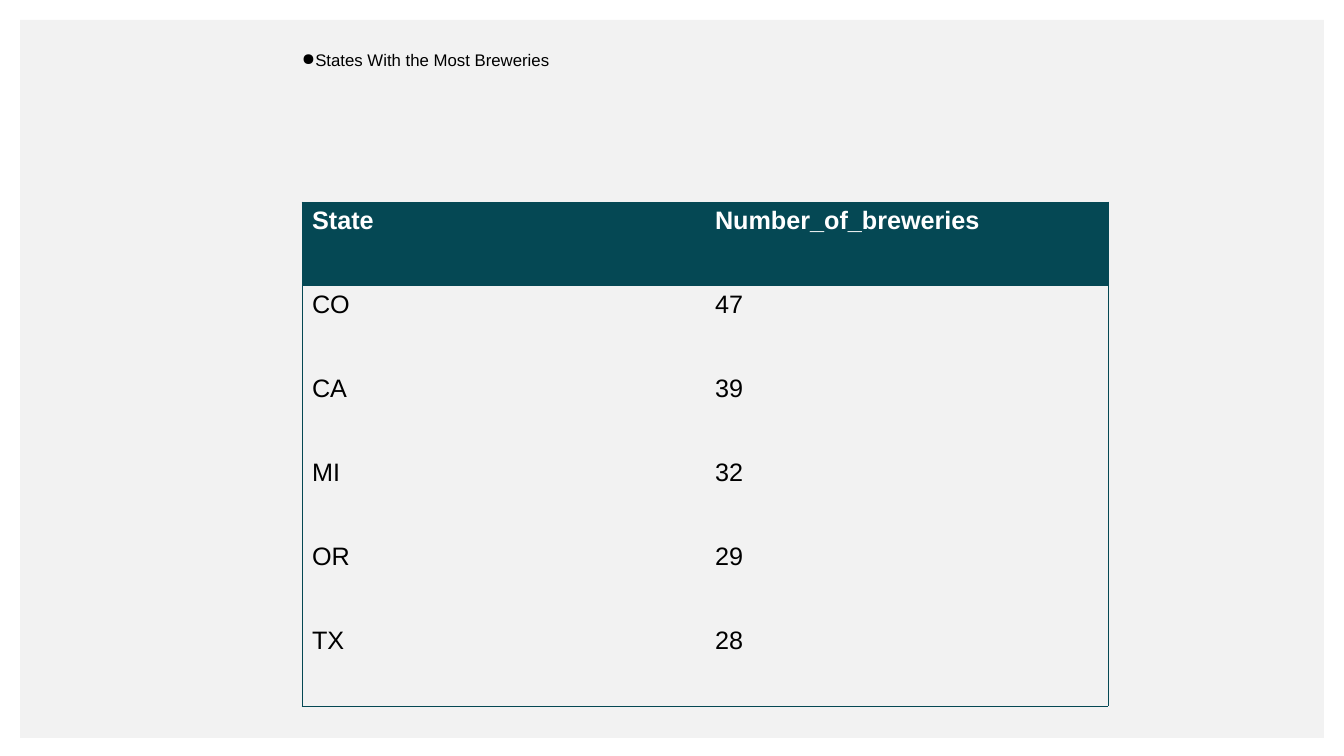
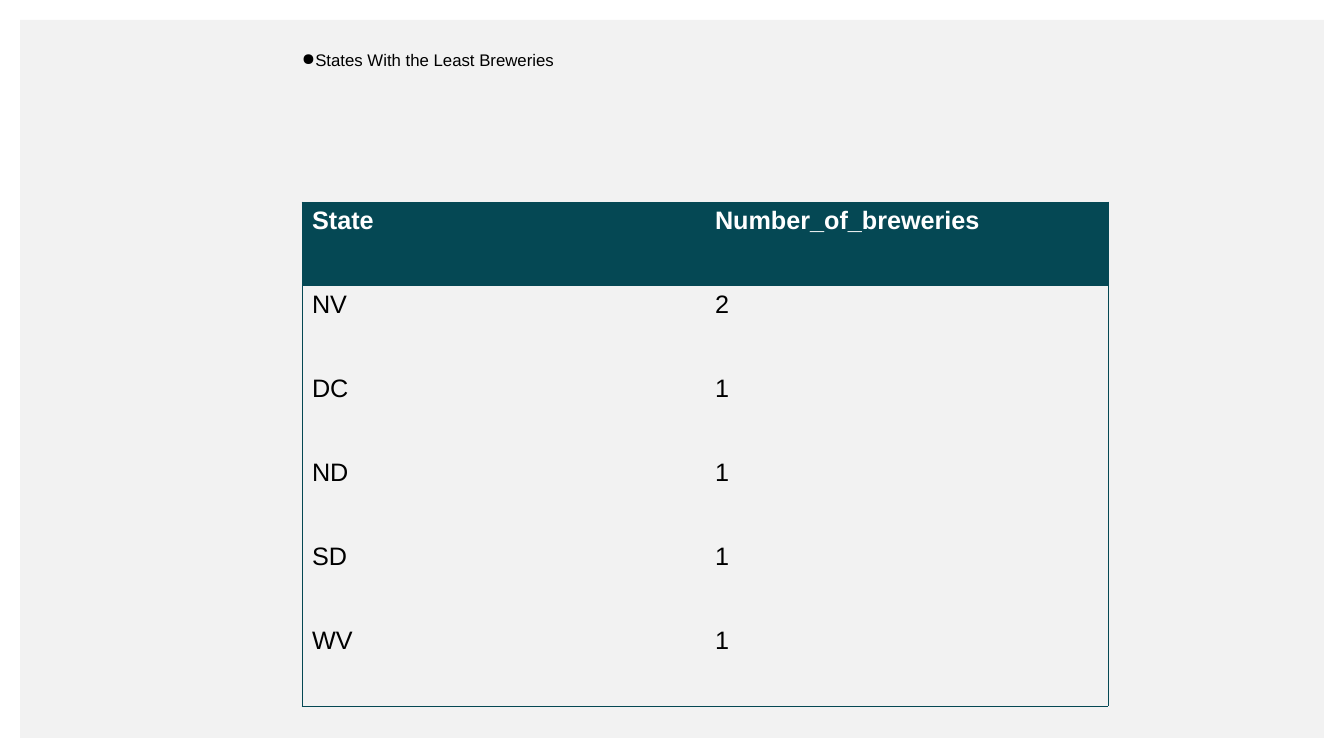
from lxml import etree
from pptx import Presentation
from pptx import util as u
from pptx.dml.color import RGBColor
from pptx.enum import shapes
from pptx.oxml import ns

PANEL_GREY = RGBColor(0xF2, 0xF2, 0xF2)
TEAL = RGBColor(0x05, 0x48, 0x54)
WHITE = RGBColor(0xFF, 0xFF, 0xFF)
BLACK = RGBColor(0, 0, 0)
FONT = "Arial"
PLAIN_TABLE = "{2D5ABB26-0587-4C30-8999-92F81FD0307C}"
HEADINGS = ("State", "Number_of_breweries")
RANKINGS = [
    ("States With the Most Breweries",
     [("CO", 47), ("CA", 39), ("MI", 32), ("OR", 29), ("TX", 28)]),
    ("States With the Least Breweries",
     [("NV", 2), ("DC", 1), ("ND", 1), ("SD", 1), ("WV", 1)]),
]


def px(*lengths):
    return [u.Emu(round(length * 914400 / 100.8)) for length in lengths]


def write(paragraph, words, size, color, bold=False):
    run = paragraph.add_run()
    run.text = words
    run.font.name = FONT
    run.font.size = u.Pt(size)
    run.font.bold = bold
    run.font.color.rgb = color


deck = Presentation()
deck.slide_width, deck.slide_height = px(1344, 756)

for title, states in RANKINGS:
    slide = deck.slides.add_slide(deck.slide_layouts[6])

    panel = slide.shapes.add_shape(shapes.MSO_SHAPE.RECTANGLE, *px(20, 20, 1304, 718))
    panel.shadow.inherit = False
    panel.fill.solid()
    panel.fill.fore_color.rgb = PANEL_GREY
    panel.line.fill.background()

    heading = slide.shapes.add_textbox(*px(302, 50, 806, 101)).text_frame
    heading.word_wrap = True
    heading.margin_left = heading.margin_right = 0
    heading.margin_top = heading.margin_bottom = 0
    bullet_line = heading.paragraphs[0]
    bullet_line.space_after = u.Pt(10)
    write(bullet_line, title, 12, BLACK)
    bullet = etree.SubElement(bullet_line._p.get_or_add_pPr(), ns.qn("a:buChar"))
    bullet.set("char", "●")

    rows = [HEADINGS, *states]
    ranking = slide.shapes.add_table(len(rows), len(HEADINGS), *px(302, 202, 806, 504)).table
    ranking.horz_banding = False
    ranking._tbl.tblPr.find(ns.qn("a:tableStyleId")).text = PLAIN_TABLE

    for r, row in enumerate(rows):
        for c, value in enumerate(row):
            cell = ranking.cell(r, c)
            is_header = r == 0
            write(cell.text_frame.paragraphs[0], str(value), 18,
                  WHITE if is_header else BLACK, is_header)

            outer_edges = {"L": c == 0, "R": c == len(HEADINGS) - 1,
                           "T": is_header, "B": r == len(rows) - 1}
            for side, is_outer in outer_edges.items():
                if is_outer:
                    edge = etree.SubElement(cell._tc.get_or_add_tcPr(), ns.qn(f"a:ln{side}"))
                    edge.set("w", str(u.Pt(0.5)))
                    ink = etree.SubElement(edge, ns.qn("a:solidFill"))
                    etree.SubElement(ink, ns.qn("a:srgbClr")).set("val", str(TEAL))

            if is_header:
                cell.fill.solid()
                cell.fill.fore_color.rgb = TEAL
            else:
                cell.fill.background()

deck.save("out.pptx")
